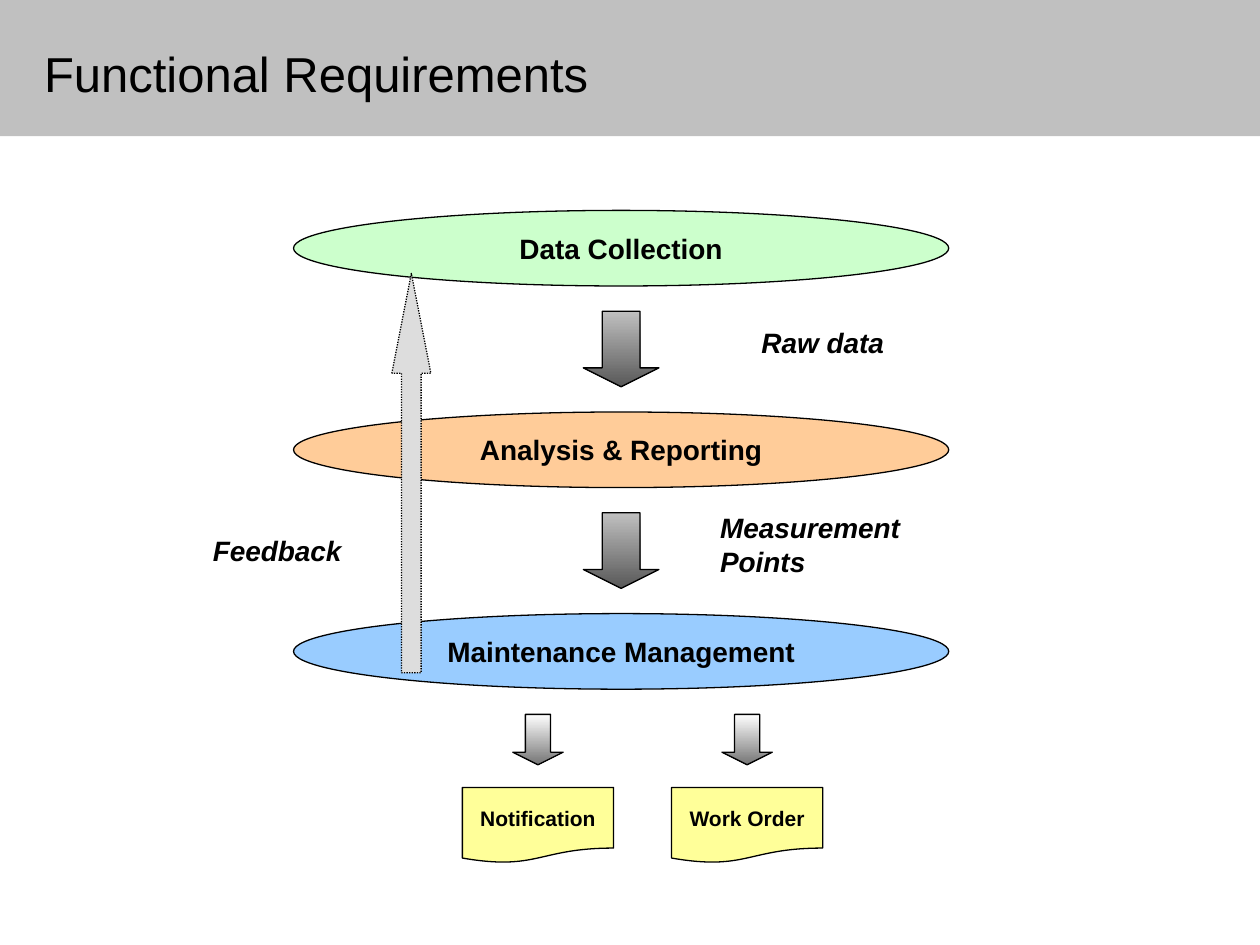
from pptx import Presentation
from pptx.dml.color import RGBColor
from pptx.enum.dml import MSO_LINE
from pptx.enum.shapes import MSO_SHAPE
from pptx.enum.text import MSO_ANCHOR, PP_ALIGN
from pptx.util import Inches, Pt

STAGES = [
    ("Data Collection", "CCFFCC"),
    ("Analysis & Reporting", "FFCC99"),
    ("Maintenance Management", "99CCFF"),
]
FLOWS = [("Raw data", 2), ("Measurement Points", 1.8)]
OUTPUTS = ["Notification", "Work Order"]
STAGE_PITCH = 1.6
OUTPUT_PITCH = 1.66


def paint(colour_format, colour):
    colour_format.rgb = RGBColor.from_string(colour)


def write(shape, text, size, align, bold=True, italic=False, side_inset=0.1):
    frame = shape.text_frame
    frame.text = text
    frame.word_wrap = True
    frame.vertical_anchor = MSO_ANCHOR.MIDDLE
    frame.margin_left = frame.margin_right = Inches(side_inset)
    frame.margin_top = frame.margin_bottom = Inches(0.05)
    paragraph = frame.paragraphs[0]
    paragraph.alignment = align
    font = paragraph.runs[0].font
    font.name, font.size = "Arial", Pt(size)
    font.bold, font.italic = bold, italic
    paint(font.color, "000000")


def add_outlined(shapes, preset, left, top, width, height, fill=None):
    shape = shapes.add_shape(preset, Inches(left), Inches(top),
                             Inches(width), Inches(height))
    shape.shadow.inherit = False
    if fill:
        shape.fill.solid()
        paint(shape.fill.fore_color, fill)
    paint(shape.line.color, "000000")
    shape.line.width = Pt(0.75)
    return shape


def add_down_arrow(shapes, left, top, size, light, dark):
    arrow = add_outlined(shapes, MSO_SHAPE.DOWN_ARROW, left, top, size, size)
    arrow.adjustments[0], arrow.adjustments[1] = 0.5, 0.25
    arrow.fill.gradient()
    arrow.fill.gradient_angle = 270
    for stop, position, colour in zip(arrow.fill.gradient_stops, (0, 1), (light, dark)):
        stop.position = position
        paint(stop.color, colour)


def add_label(shapes, text, left, top, width, align, side_inset):
    """Add an italic label whose text block is centred in its box."""
    label = shapes.add_textbox(Inches(left), Inches(top), Inches(width), Inches(0.4))
    write(label, text, 16, align, italic=True, side_inset=side_inset)
    label.text_frame._txBody.bodyPr.set("anchorCtr", "1")


def add_header(slide, width, height):
    band = slide.shapes.add_shape(MSO_SHAPE.RECTANGLE, 0, 0, Inches(width), Inches(height))
    band.shadow.inherit = False
    band.fill.solid()
    paint(band.fill.fore_color, "C0C0C0")
    band.line.fill.background()
    title = slide.shapes.title
    band._element.addnext(title._element)
    title.left, title.top = Inches(0.25), Inches(0.33)
    title.width, title.height = Inches(7), Inches(0.5)
    write(title, "Functional Requirements", 28, PP_ALIGN.LEFT, bold=False)


def add_stages(slide, left, top, width, height):
    for row, (name, colour) in enumerate(STAGES):
        stage = add_outlined(slide.shapes, MSO_SHAPE.OVAL, left,
                             top + row * STAGE_PITCH, width, height, colour)
        write(stage, name, 16, PP_ALIGN.CENTER)


def add_flows(slide, left, top, size):
    for row, (name, label_width) in enumerate(FLOWS):
        flow = slide.shapes.add_group_shape().shapes
        flow_top = top + row * STAGE_PITCH
        add_down_arrow(flow, left, flow_top, size, "C0C0C0", "585858")
        add_label(flow, name, left + size + 0.3, flow_top + 0.05, label_width,
                  PP_ALIGN.LEFT, 0)


def add_feedback(slide, left, top, width, height):
    feedback = slide.shapes.add_group_shape().shapes
    arrow = add_outlined(feedback, MSO_SHAPE.UP_ARROW, left, top, width, height, "DDDDDD")
    arrow.adjustments[0], arrow.adjustments[1] = 0.5, 2.56
    arrow.line.dash_style = MSO_LINE.ROUND_DOT
    add_label(feedback, "Feedback", left - 1.61, top + 2, 1.4, PP_ALIGN.RIGHT, 0.1)


def add_outputs(slide, left, top, width, arrow_size):
    outputs = slide.shapes.add_group_shape().shapes
    for column, name in enumerate(OUTPUTS):
        output_left = left + column * OUTPUT_PITCH
        document = add_outlined(outputs, MSO_SHAPE.FLOWCHART_DOCUMENT, output_left,
                                top + 0.58, width, 0.6, "FFFF99")
        write(document, name, 12, PP_ALIGN.CENTER, side_inset=0)
        add_down_arrow(outputs, output_left + (width - arrow_size) / 2, top,
                       arrow_size, "FFFFFF", "757575")


def main():
    deck = Presentation()
    deck.slide_width, deck.slide_height = Inches(10), Inches(7.5)
    slide = deck.slides.add_slide(deck.slide_layouts[5])
    add_header(slide, 10, 1.08)
    add_stages(slide, 2.33, 1.67, 5.2, 0.6)
    add_flows(slide, 4.63, 2.47, 0.6)
    add_feedback(slide, 3.11, 2.17, 0.31, 3.17)
    add_outputs(slide, 3.67, 5.67, 1.2, 0.4)
    deck.save("out.pptx")


if __name__ == "__main__":
    main()
